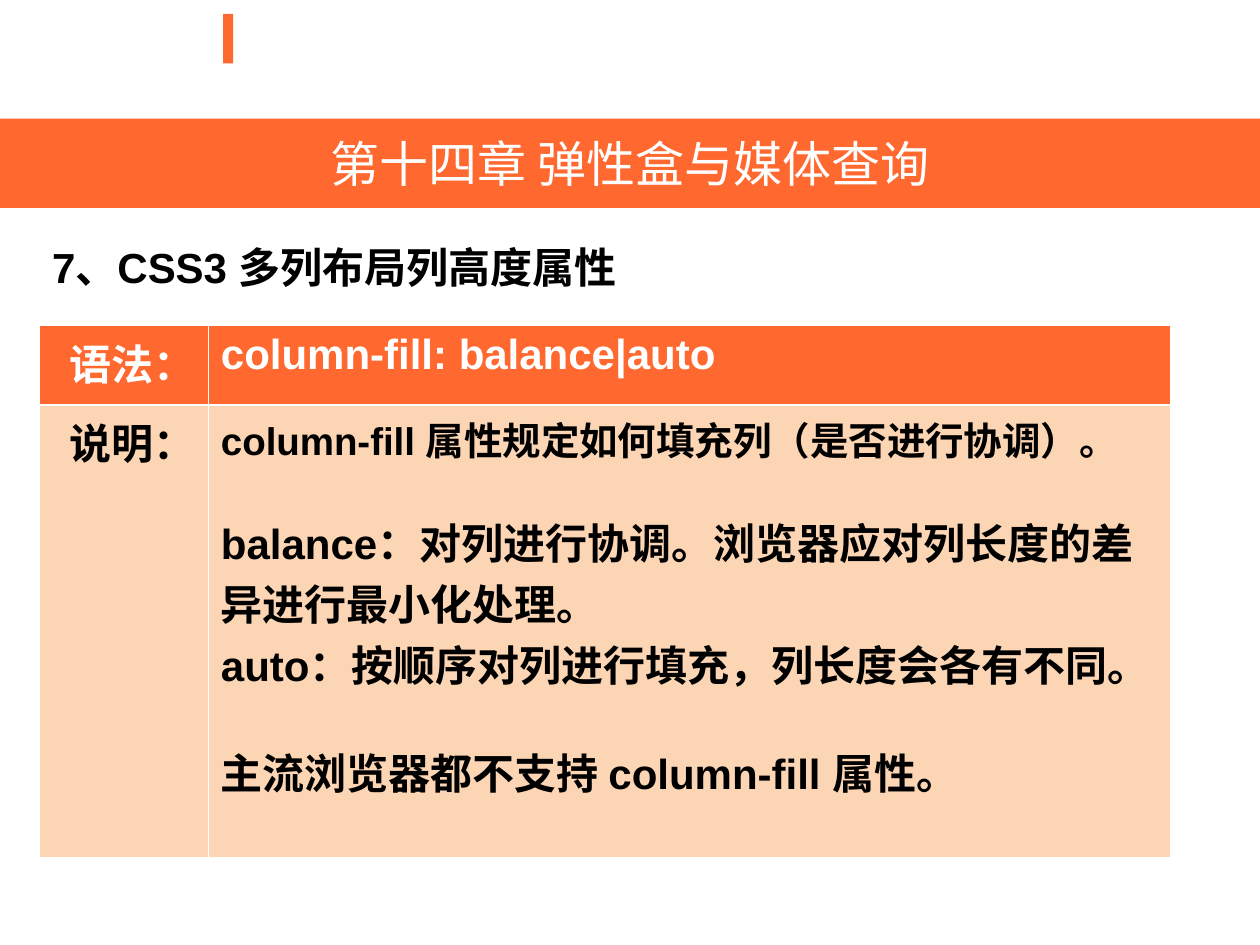
from typing import NamedTuple

from pptx import Presentation
from pptx.dml.color import RGBColor
from pptx.enum.shapes import MSO_SHAPE
from pptx.enum.text import MSO_ANCHOR, MSO_AUTO_SIZE, PP_ALIGN
from pptx.util import Cm, Pt

ORANGE, PEACH, WHITE, BLACK = "FF682F", "FCD5B5", "FFFFFF", "000000"


class Line(NamedTuple):
    text: str
    size: int = 24
    after: int = 0


class Row(NamedTuple):
    label: str
    lines: list[Line]
    high: float
    fill: str
    ink: str


ROWS = [
    Row("语法：", [Line("column-fill: balance|auto")], 1.6, ORANGE, WHITE),
    Row("说明：", [
        Line("column-fill 属性规定如何填充列（是否进行协调）。", 22, 25),
        Line("balance：对列进行协调。浏览器应对列长度的差异进行最小化处理。"),
        Line("auto：按顺序对列进行填充，列长度会各有不同。", after=27),
        Line("主流浏览器都不支持 column-fill 属性。"),
    ], 9.14, PEACH, BLACK),
]


def paint(fill, color: str) -> None:
    fill.solid()
    fill.fore_color.rgb = RGBColor.from_string(color)


def write(par, text: str, *, size: int = 24, color: str = BLACK,
          bold: bool = True, align=PP_ALIGN.LEFT, after: int = 0) -> None:
    par.alignment = align
    par.space_after = Pt(after)
    run = par.add_run()
    run.text = text
    font = run.font
    font.name, font.size, font.bold = "Arial", Pt(size), bold
    font.color.rgb = RGBColor.from_string(color)


def fill_row(table, index: int, row: Row) -> None:
    table.rows[index].height = Cm(row.high)
    label, body = table.cell(index, 0), table.cell(index, 1)
    for cell in (label, body):
        paint(cell.fill, row.fill)
    write(label.text_frame.paragraphs[0], row.label,
          color=row.ink, align=PP_ALIGN.RIGHT)
    frame = body.text_frame
    for i, line in enumerate(row.lines):
        par = frame.add_paragraph() if i else frame.paragraphs[0]
        write(par, line.text, size=line.size, color=row.ink, after=line.after)


def main() -> None:
    deck = Presentation()
    deck.slide_width, deck.slide_height = Cm(25.4), Cm(19.05)
    slide = deck.slides.add_slide(deck.slide_layouts[5])
    shapes = slide.shapes

    # Accent mark at the top
    mark = shapes.add_shape(MSO_SHAPE.RECTANGLE,
                            Cm(4.5), Cm(0.28), Cm(0.2), Cm(1))
    mark.shadow.inherit = False
    paint(mark.fill, ORANGE)
    mark.line.fill.background()

    # Chapter banner
    title = shapes.title
    title.left, title.top = Cm(0), Cm(2.39)
    title.width, title.height = Cm(25.4), Cm(1.8)
    paint(title.fill, ORANGE)
    frame = title.text_frame
    frame.auto_size = MSO_AUTO_SIZE.NONE
    frame.vertical_anchor = MSO_ANCHOR.MIDDLE
    write(frame.paragraphs[0], "第十四章 弹性盒与媒体查询", size=28,
          color=WHITE, bold=False, align=PP_ALIGN.CENTER)

    # Section heading
    head = shapes.add_textbox(Cm(0.8), Cm(4.75), Cm(24.6), Cm(13.28))
    head.text_frame.word_wrap = True
    write(head.text_frame.paragraphs[0], "7、CSS3 多列布局列高度属性")

    # Syntax table; its style supplies the white rules
    wide = (3.4, 19.4)
    high = sum(row.high for row in ROWS)
    table = shapes.add_table(len(ROWS), len(wide), Cm(0.8), Cm(6.56),
                             Cm(sum(wide)), Cm(high)).table
    for col, width in zip(table.columns, wide):
        col.width = Cm(width)
    for i, row in enumerate(ROWS):
        fill_row(table, i, row)

    deck.save("out.pptx")


if __name__ == "__main__":
    main()
